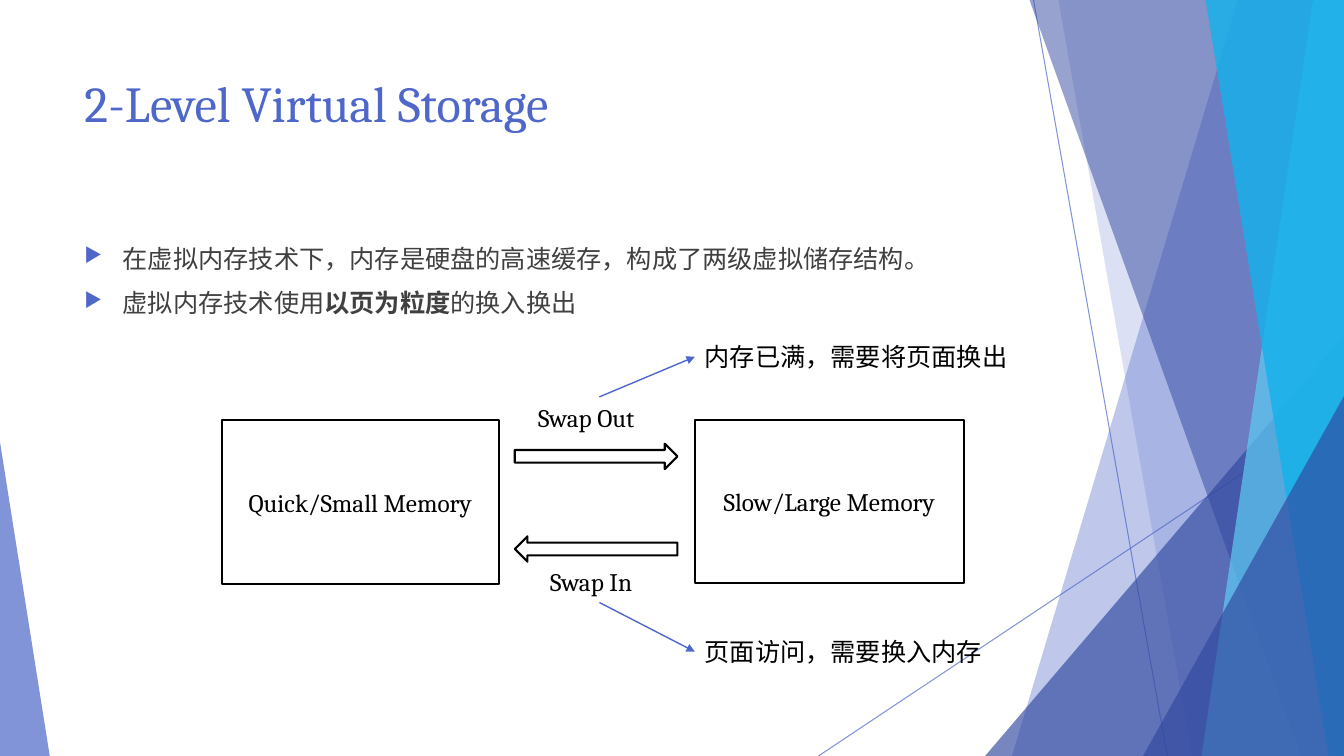
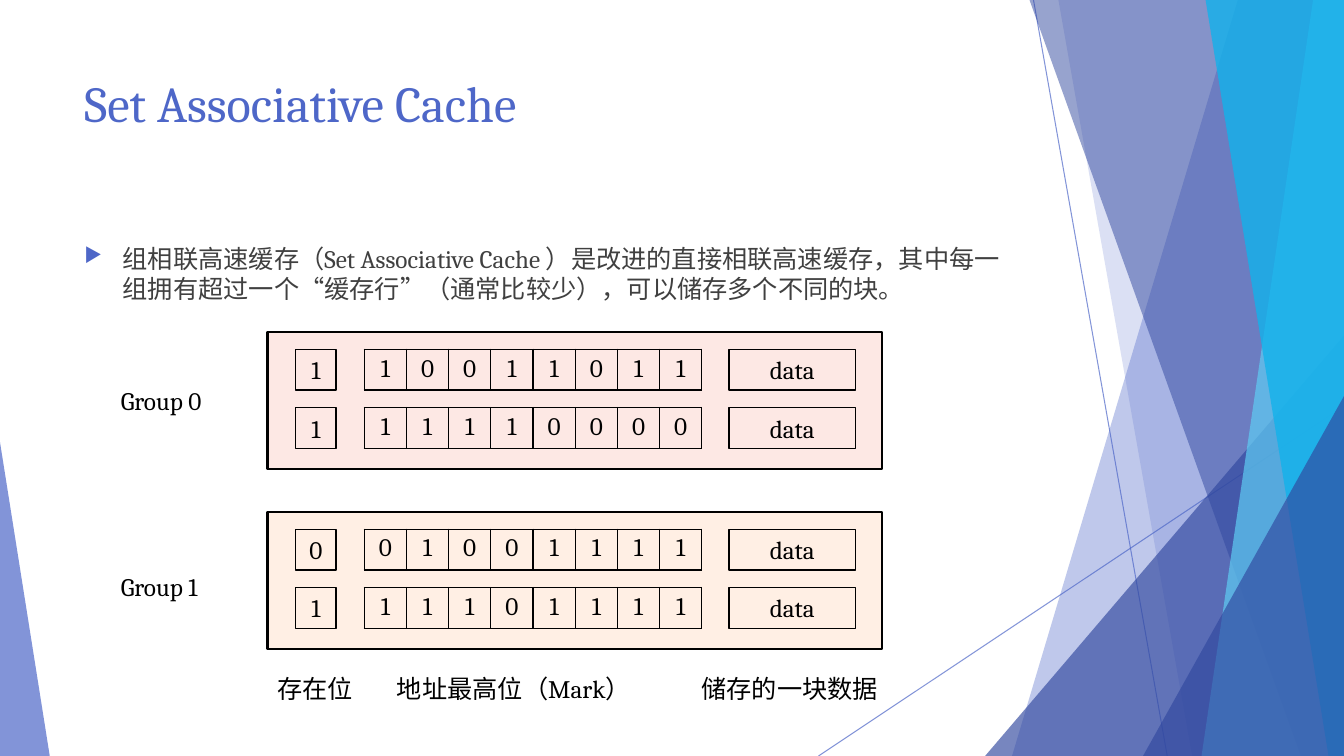
from lxml.etree import SubElement
from pptx import Presentation
from pptx.enum.shapes import MSO_CONNECTOR as Link, MSO_SHAPE as Preset
from pptx.enum.text import MSO_ANCHOR as Anchor, PP_ALIGN as Align
from pptx.dml.color import RGBColor
from pptx.oxml.ns import qn
from pptx.util import Inches, Pt

# Shared look; all places and sizes are percent of the slide's width or height
WIDTH, HEIGHT = Inches(13.33), Inches(7.5)
FONT, TEXT_SIZE, TITLE_SIZE = "Cambria", 18, 36
BLUE, NAVY, SKY, CYAN = "4E67C8", "31489F", "5ECCF3", "12B2EB"
BLACK, GREY = "000000", "404040"
MARGIN, TEXT_WIDTH, LINE_HEIGHT = 5.55, 70.5, 5.4
TOP, LEFT, BOTTOM = 0, 1, 2


def across(share):
    return round(WIDTH * share / 100)


def down(share):
    return round(HEIGHT * share / 100)


def place(x, y, width, height):
    return across(x), down(y), across(width), down(height)


# Colour
def paint(target, colour):
    """Give a fill or a font one solid colour."""
    if hasattr(target, "solid"):
        target.solid()
        target.fore_color.rgb = RGBColor.from_string(colour)
    else:
        target.color.rgb = RGBColor.from_string(colour)


def set_opacity(item, percent):
    for colour in item.element.spPr.iter(qn("a:srgbClr")):
        SubElement(colour, qn("a:alpha"), val=str(percent * 1000))
        break


def style(shape, fill=None, opacity=100, outline=None, weight=1.5):
    shape.shadow.inherit = False
    if fill:
        paint(shape.fill, fill)
        if opacity < 100:
            set_opacity(shape, opacity)
    else:
        shape.fill.background()
    if outline:
        paint(shape.line.fill, outline)
        shape.line.width = Pt(weight)
    else:
        shape.line.fill.background()
    return shape


# Text
def add_span(para, text, colour=BLACK, size=TEXT_SIZE, bold=False):
    span = para.add_run()
    span.text = text
    span.font.name, span.font.size, span.font.bold = FONT, Pt(size), bold
    paint(span.font, colour)


def add_text(page, area, text=None, colour=BLACK, size=TEXT_SIZE):
    box = page.shapes.add_textbox(*place(*area))
    box.text_frame.word_wrap = True
    box.text_frame.vertical_anchor = Anchor.TOP
    if text:
        add_span(box.text_frame.paragraphs[0], text, colour, size)
    return box


def add_bullets(page, height, items):
    """Each item is a list of (text, bold) spans."""
    frame = add_text(page, (MARGIN, 31.5, TEXT_WIDTH, height)).text_frame
    for index, spans in enumerate(items):
        para = frame.add_paragraph() if index else frame.paragraphs[0]
        para.space_before = Pt(10)
        for text, bold in spans:
            add_span(para, text, GREY, bold=bold)
        layout = para._p.get_or_add_pPr()
        layout.set("marL", str(Inches(0.38)))
        layout.set("indent", str(-Inches(0.38)))
        SubElement(SubElement(layout, qn("a:buClr")), qn("a:srgbClr"), val=BLUE)
        SubElement(layout, qn("a:buSzPct"), val="80000")
        SubElement(layout, qn("a:buChar"), char="▶")


# Shapes and lines
def add_box(page, area, text=None, preset=Preset.RECTANGLE, weight=1.5, **fill):
    box = page.shapes.add_shape(preset, *place(*area))
    style(box, outline=BLACK, weight=weight, **fill)
    if text:
        box.text_frame.word_wrap = True
        box.text_frame.vertical_anchor = Anchor.MIDDLE
        para = box.text_frame.paragraphs[0]
        para.alignment = Align.CENTER
        add_span(para, text)
    return box


def add_line(page, start=(0, 0), end=(0, 0), weight=1.0):
    line = page.shapes.add_connector(
        Link.STRAIGHT, across(start[0]), down(start[1]), across(end[0]), down(end[1]))
    paint(line.line.fill, BLUE)
    line.line.width = Pt(weight)
    SubElement(line.element.spPr, qn("a:effectLst"))
    return line


def add_pointer(page, source, side, note):
    pointer = add_line(page)
    pointer.begin_connect(source, side)
    pointer.end_connect(note, LEFT)
    SubElement(pointer.element.spPr.find(qn("a:ln")), qn("a:tailEnd"), type="triangle")


def add_bits(page, x, y, bits):
    """A one-row table with one bit in each cell."""
    cell_width = 3.14
    frame = page.shapes.add_table(
        1, len(bits), *place(x, y, cell_width * len(bits), LINE_HEIGHT))
    table = frame.table
    table.first_row = table.horz_banding = False
    for column, bit in enumerate(bits):
        table.columns[column].width = across(cell_width)
        cell = table.cell(0, column)
        para = cell.text_frame.paragraphs[0]
        para.alignment = Align.CENTER
        add_span(para, bit)
        borders = cell._tc.get_or_add_tcPr()
        for side in ("lnL", "lnR", "lnT", "lnB"):
            border = SubElement(borders, qn(f"a:{side}"), w=str(Pt(1)))
            solid = SubElement(border, qn("a:solidFill"))
            SubElement(solid, qn("a:srgbClr"), val=BLACK)
        cell.fill.background()


# Background facets
def add_shard(page, top, foot, colour, opacity):
    """A slanted band from its left edge to the slide's right edge."""
    outline = page.shapes.build_freeform(across(top), 0)
    outline.add_line_segments(
        [(WIDTH, 0), (WIDTH, HEIGHT), (across(foot), HEIGHT)], close=True)
    style(outline.convert_to_shape(), colour, opacity)


def add_peak(page, x, y, width, lean, colour, opacity):
    """A triangle on the slide's bottom edge; lean is the place of its tip."""
    peak = page.shapes.add_shape(Preset.ISOSCELES_TRIANGLE, *place(x, y, width, 100 - y))
    peak.adjustments[0] = lean
    style(peak, colour, opacity)


def add_page(deck, title):
    page = deck.slides.add_slide(deck.slide_layouts[6])
    for start, end in (((76.9, 0), (86.85, 100)), ((100, 53.7), (60.9, 100))):
        set_opacity(add_line(page, start, end, 0.75), 70)
    add_shard(page, 92.1, 75.3, BLUE, 36)
    add_shard(page, 78.75, 88.7, BLUE, 20)
    add_peak(page, 73.3, 44.4, 26.7, 1, NAVY, 66)
    add_shard(page, 76.6, 96.8, NAVY, 50)
    add_shard(page, 97.7, 89.4, SKY, 70)
    add_shard(page, 89.7, 98.85, CYAN, 80)
    add_peak(page, 85.05, 52.4, 14.95, 1, NAVY, 66)
    add_peak(page, 0, 58.5, 3.7, 0, BLUE, 70)
    add_text(page, (MARGIN, 8.9, TEXT_WIDTH, 19.2), title, BLUE, TITLE_SIZE)
    return page


# Slides
def build_storage(deck):
    page = add_page(deck, "2-Level Virtual Storage")
    add_bullets(page, 15.2, [
        [("在虚拟内存技术下，内存是硬盘的高速缓存，构成了两级虚拟储存结构。", False)],
        [("虚拟内存技术使用", False), ("以页为粒度", True), ("的换入换出", False)],
    ])
    add_box(page, (16.5, 55.6, 20.6, 21.6), "Quick/Small Memory")
    add_box(page, (51.7, 55.5, 20, 21.6), "Slow/Large Memory")
    add_box(page, (38.3, 58.7, 12.1, 3.35), preset=Preset.RIGHT_ARROW)
    add_box(page, (38.3, 70.95, 12.1, 3.35), preset=Preset.LEFT_ARROW)

    swaps = (
        ("Swap Out", 39.3, 52.5, 10.6, TOP, "内存已满，需要将页面换出", 44.5),
        ("Swap In", 40.2, 74.3, 8.8, BOTTOM, "页面访问，需要换入内存", 83.5),
    )
    for name, x, y, width, side, reason, reason_y in swaps:
        label = add_text(page, (x, y, width, LINE_HEIGHT), name)
        note = add_text(page, (51.7, reason_y, 25.5, LINE_HEIGHT), reason)
        add_pointer(page, label, side, note)


def build_cache(deck):
    page = add_page(deck, "Set Associative Cache")
    add_bullets(page, 56.5, [[(
        "组相联高速缓存（Set Associative Cache ）是改进的直接相联高速缓存，其中每一组"
        "拥有超过一个“缓存行”（通常比较少），可以储存多个不同的块。", False)]])

    # Each group: label, label place, tint, (present bit, mark) of each line
    groups = (
        ("Group 0", 50.3, "F78D7C", (("1", "10011011"), ("1", "11110000"))),
        ("Group 1", 74.9, "FFB37A", (("0", "01001111"), ("1", "11101111"))),
    )
    for group, (name, label_y, tint, lines) in enumerate(groups):
        panel_y = 43.9 + 23.8 * group
        add_box(page, (19.9, panel_y, 45.7, 18.1), fill=tint, opacity=20)
        add_text(page, (8.25, label_y, 9, LINE_HEIGHT), name)
        for row, (present, mark) in enumerate(lines):
            y = panel_y + 2.3 + 7.7 * row
            add_box(page, (22, y, 3, LINE_HEIGHT), present, weight=1)
            add_bits(page, 27.1, y, mark)
            add_box(page, (54.25, y, 9.4, LINE_HEIGHT), "data", weight=1)

    captions = (
        (19.9, 7.8, "存在位"),
        (28.8, 20.1, "地址最高位（Mark）"),
        (51.45, 15.1, "储存的一块数据"),
    )
    for x, width, caption in captions:
        add_text(page, (x, 88.4, width, LINE_HEIGHT), caption)


def main():
    deck = Presentation()
    deck.slide_width, deck.slide_height = WIDTH, HEIGHT
    build_storage(deck)
    build_cache(deck)
    deck.save("out.pptx")


if __name__ == "__main__":
    main()
